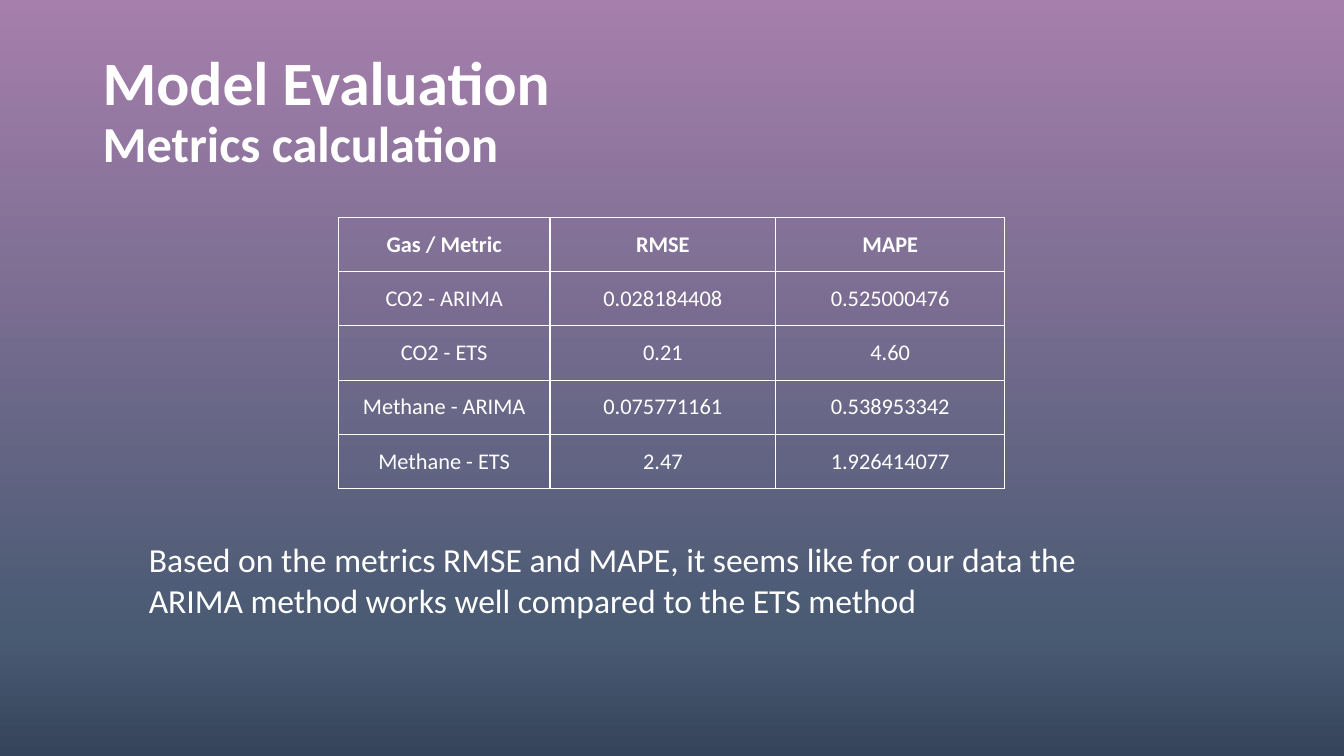
import copy
from dataclasses import dataclass

import lxml.etree
import pptx
import pptx.dml.color
import pptx.enum.text
import pptx.oxml.ns
import pptx.util

Cm = pptx.util.Cm
Pt = pptx.util.Pt
qn = pptx.oxml.ns.qn


@dataclass(frozen=True)
class Theme:
    font: str = "Calibri"
    ink: str = "FFFFFF"
    backdrop: tuple = ((0, "A67FAC"), (84, "495A73"), (100, "35445A"))
    heading: int = 44
    subheading: int = 36
    conclusion: int = 24
    metric: int = 16
    border: int = 1


THEME = Theme()

METRICS = (
    ("Gas / Metric", "RMSE", "MAPE"),
    ("CO2 - ARIMA", "0.028184408", "0.525000476"),
    ("CO2 - ETS", "0.21", "4.60"),
    ("Methane - ARIMA", "0.075771161", "0.538953342"),
    ("Methane - ETS", "2.47", "1.926414077"),
)
COLUMN_WIDTHS = (5.33, 5.69, 5.77)


def style_run(run, size, bold=False):
    run.font.name = THEME.font
    run.font.size = Pt(size)
    run.font.bold = bold
    run.font.color.rgb = pptx.dml.color.RGBColor.from_string(THEME.ink)


def paint_backdrop(slide):
    fill = slide.background.fill
    fill.gradient()
    fill.gradient_angle = 270
    stop_list = slide.element.find(".//" + qn("a:gsLst"))
    stop_list.append(copy.deepcopy(stop_list[-1]))
    for stop, (percent, color) in zip(fill.gradient_stops, THEME.backdrop):
        stop.position = percent / 100
        stop.color.rgb = pptx.dml.color.RGBColor.from_string(color)


def place_heading(slide, left, top, width, height):
    heading = slide.shapes.title
    heading.left, heading.top = Cm(left), Cm(top)
    heading.width, heading.height = Cm(width), Cm(height)
    frame = heading.text_frame
    frame.text = "Model Evaluation\vMetrics calculation"
    frame.word_wrap = True
    frame.vertical_anchor = pptx.enum.text.MSO_ANCHOR.MIDDLE
    paragraph = frame.paragraphs[0]
    paragraph.alignment = pptx.enum.text.PP_ALIGN.LEFT
    paragraph.line_spacing = 0.9
    for run, size in zip(paragraph.runs, (THEME.heading, THEME.subheading)):
        style_run(run, size, bold=True)


def outline_cell(cell):
    properties = cell._tc.get_or_add_tcPr()
    for side in ("a:lnL", "a:lnR", "a:lnT", "a:lnB"):
        line = lxml.etree.SubElement(properties, qn(side), w=str(Pt(THEME.border)))
        solid = lxml.etree.SubElement(line, qn("a:solidFill"))
        lxml.etree.SubElement(solid, qn("a:srgbClr"), val=THEME.ink)


def place_metrics(slide, left, top, height):
    metrics = slide.shapes.add_table(
        len(METRICS), len(COLUMN_WIDTHS),
        Cm(left), Cm(top), Cm(sum(COLUMN_WIDTHS)), Cm(height),
    ).table
    metrics.first_row = False
    metrics.horz_banding = False
    for column, width in zip(metrics.columns, COLUMN_WIDTHS):
        column.width = Cm(width)
    for row_index, values in enumerate(METRICS):
        for column_index, value in enumerate(values):
            cell = metrics.cell(row_index, column_index)
            cell.text_frame.text = value
            cell.vertical_anchor = pptx.enum.text.MSO_ANCHOR.MIDDLE
            paragraph = cell.text_frame.paragraphs[0]
            paragraph.alignment = pptx.enum.text.PP_ALIGN.CENTER
            style_run(paragraph.runs[0], THEME.metric, bold=row_index == 0)
            outline_cell(cell)
            cell.fill.background()


def place_conclusion(slide, left, top, width, height):
    conclusion = slide.shapes.add_textbox(Cm(left), Cm(top), Cm(width), Cm(height))
    frame = conclusion.text_frame
    frame.text = (
        "Based on the metrics RMSE and MAPE, it seems like for our data the "
        "ARIMA method works well compared to the ETS method"
    )
    frame.word_wrap = True
    frame.auto_size = pptx.enum.text.MSO_AUTO_SIZE.SHAPE_TO_FIT_TEXT
    style_run(frame.paragraphs[0].runs[0], THEME.conclusion)


def main():
    deck = pptx.Presentation()
    deck.slide_width, deck.slide_height = Cm(33.87), Cm(19.05)
    slide = deck.slides.add_slide(deck.slide_layouts.get_by_name("Title Only"))
    paint_backdrop(slide)
    place_heading(slide, left=2.33, top=1.01, width=29.21, height=3.68)
    place_metrics(slide, left=8.53, top=5.48, height=6.83)
    place_conclusion(slide, left=3.5, top=13.46, width=24.64, height=2.31)
    deck.save("out.pptx")


if __name__ == "__main__":
    main()
